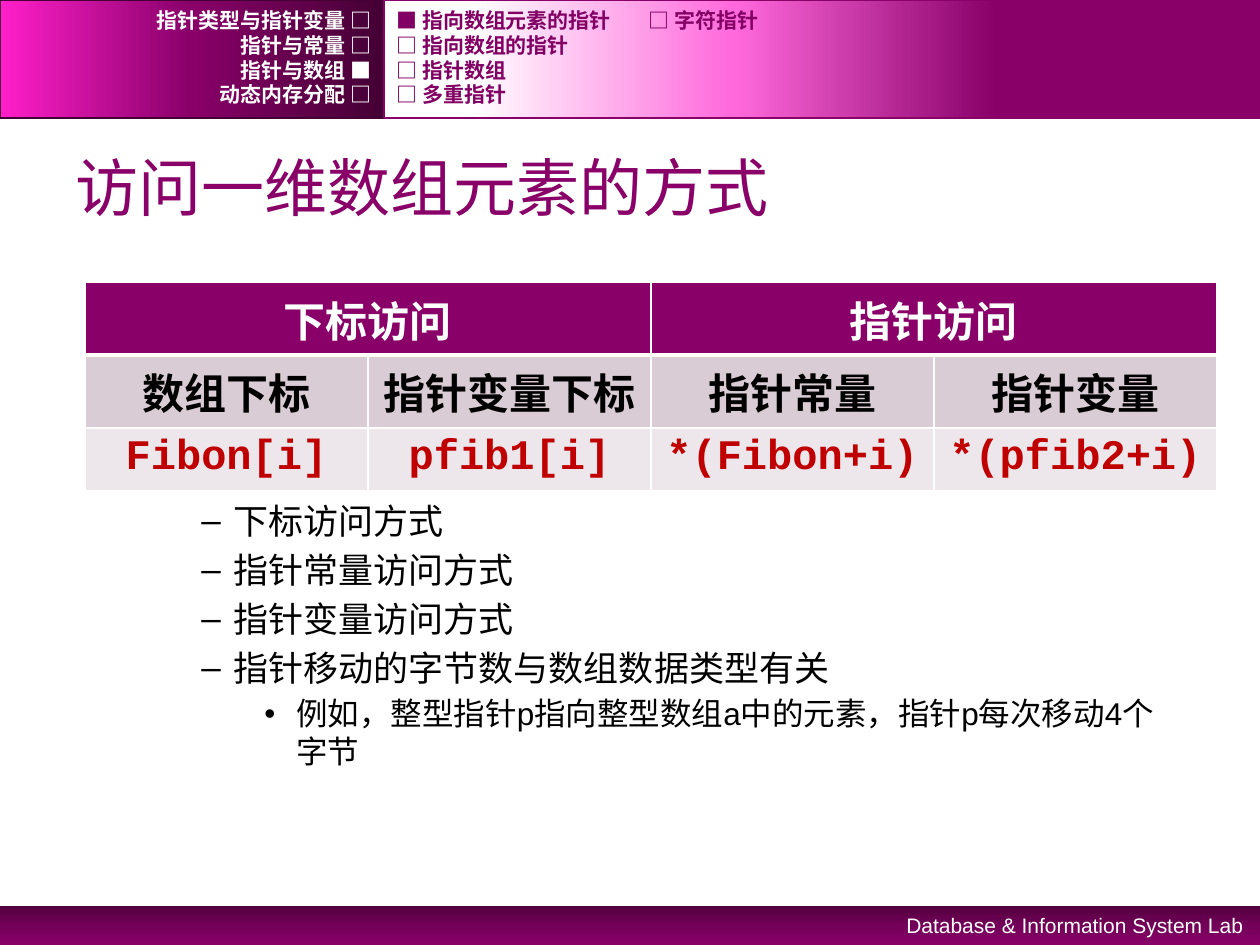
"""Build the slide on ways to access one-dimensional array elements."""
from lxml.etree import SubElement
from pptx import Presentation
from pptx.dml.color import RGBColor
from pptx.enum.shapes import MSO_SHAPE
from pptx.enum.text import MSO_ANCHOR, PP_ALIGN
from pptx.oxml import parse_xml
from pptx.oxml.ns import nsdecls, qn
from pptx.util import Emu, Pt

SCALE = 914400 // 126
PLUM = RGBColor(0x88, 0x00, 0x68)
DEEP_PLUM = RGBColor(0x44, 0x00, 0x34)
NAV_PLUM = RGBColor(0x82, 0x00, 0x64)
WHITE = RGBColor(0xFF, 0xFF, 0xFF)
BLACK = RGBColor(0x00, 0x00, 0x00)
RED = RGBColor(0xC0, 0x00, 0x00)
MAUVE = RGBColor(0xDA, 0xCC, 0xD4)
PALE_MAUVE = RGBColor(0xED, 0xE7, 0xEB)
CJK = "Noto Sans CJK SC"

BANDS = [
    ((0, 906, 1260, 39), 90, [(0, "51003E"), (50, "730058"), (100, "880068")], None),
    ((0, 0, 384, 118), 180, [(0, "440034"), (50, "880068"), (100, "FF1FCA")], DEEP_PLUM),
    ((384, 0, 876, 118), 180, [(30, "880068"), (60, "FF69DC"), (90, "FFFFFF")], PLUM),
]
SECTIONS = ["指针类型与指针变量 □", "指针与常量 □", "指针与数组 ■", "动态内存分配 □"]
TOPICS = ["■ 指向数组元素的指针\t□ 字符指针", "□ 指向数组的指针", "□ 指针数组", "□ 多重指针"]
NAVIGATION = [
    (SECTIONS, 0, 384, PP_ALIGN.RIGHT, WHITE),
    (TOPICS, 384, 759, PP_ALIGN.LEFT, NAV_PLUM),
]
TITLE = "访问一维数组元素的方式"
FOOTER = "Database & Information System Lab"
TABLE_ROWS = [
    (["下标访问", "", "指针访问", ""], 73, PLUM, WHITE, "Arial"),
    (["数组下标", "指针变量下标", "指针常量", "指针变量"], 73, MAUVE, BLACK, CJK),
    (["Fibon[i]", "pfib1[i]", "*(Fibon+i)", "*(pfib2+i)"], 60, PALE_MAUVE, RED, "Courier New"),
]
COLUMN_WIDTH = 283
DASH, DOT = ("–", 158, 20), ("•", 221, 18)
POINTS = [
    ("下标访问方式", DASH),
    ("指针常量访问方式", DASH),
    ("指针变量访问方式", DASH),
    ("指针移动的字节数与数组数据类型有关", DASH),
    ("例如，整型指针p指向整型数组a中的元素，指针p每次移动4个字节", DOT),
]


def px(length):
    return Emu(round(length * SCALE))


def write(para, text, size, color, font="Arial", east_asian=CJK, bold=False, align=PP_ALIGN.LEFT):
    para.alignment = align
    span = para.add_run()
    span.text = text
    span.font.size = Pt(size)
    span.font.bold = bold
    span.font.name = font
    span.font.color.rgb = color
    SubElement(span.font._element, qn("a:ea"), typeface=east_asian)


def add_box(page, place, anchor=MSO_ANCHOR.TOP):
    frame = page.shapes.add_textbox(*map(px, place)).text_frame
    frame.word_wrap = True
    frame.vertical_anchor = anchor
    return frame


def add_band(page, place, angle, stops, outline):
    band = page.shapes.add_shape(MSO_SHAPE.RECTANGLE, *map(px, place))
    band.shadow.inherit = False
    marks = "".join(
        f'<a:gs pos="{position * 1000}"><a:srgbClr val="{color}"/></a:gs>' for position, color in stops
    )
    gradient = parse_xml(
        f'<a:gradFill {nsdecls("a")} rotWithShape="1"><a:gsLst>{marks}</a:gsLst>'
        f'<a:lin ang="{angle * 60000}" scaled="0"/></a:gradFill>'
    )
    band._element.spPr.find(qn("a:prstGeom")).addnext(gradient)
    if outline is None:
        band.line.fill.background()
    else:
        band.line.color.rgb = outline
        band.line.width = Pt(1)


def set_borders(cell, bottom):
    properties = cell._tc.get_or_add_tcPr()
    for index, (side, width) in enumerate([("L", 1), ("R", 1), ("T", 1), ("B", bottom)]):
        border = parse_xml(
            f'<a:ln{side} {nsdecls("a")} w="{Pt(width)}"><a:solidFill>'
            f'<a:srgbClr val="{WHITE}"/></a:solidFill></a:ln{side}>'
        )
        properties.insert(index, border)


def add_access_table(page):
    height = sum(row[1] for row in TABLE_ROWS)
    table = page.shapes.add_table(3, 4, px(85), px(282), px(4 * COLUMN_WIDTH), px(height)).table
    for column in table.columns:
        column.width = px(COLUMN_WIDTH)
    for left in (0, 2):
        table.cell(0, left).merge(table.cell(0, left + 1))
    for row, (texts, row_height, fill, color, font) in enumerate(TABLE_ROWS):
        table.rows[row].height = px(row_height)
        for column, text in enumerate(texts):
            cell = table.cell(row, column)
            cell.fill.solid()
            cell.fill.fore_color.rgb = fill
            set_borders(cell, 3 if row == 0 else 1)
            if text:
                write(cell.text_frame.paragraphs[0], text, 24, color, font,
                      bold=True, align=PP_ALIGN.CENTER)


def add_points(page):
    frame = add_box(page, (63, 493, 1134, 393))
    for index, (text, (bullet, indent, size)) in enumerate(POINTS):
        para = frame.add_paragraph() if index else frame.paragraphs[0]
        para.space_before = Pt(size * 0.2)
        write(para, text, size, BLACK, east_asian="Arial")
        properties = para._p.get_or_add_pPr()
        properties.set("marL", str(px(indent)))
        properties.set("indent", str(px(-32)))
        SubElement(properties, qn("a:buFont"), typeface="Arial")
        SubElement(properties, qn("a:buChar"), char=bullet)


deck = Presentation()
deck.slide_width, deck.slide_height = px(1260), px(945)
page = deck.slides.add_slide(deck.slide_layouts[6])
for band in BANDS:
    add_band(page, *band)
footer = add_box(page, (809, 906, 447, 38))
write(footer.paragraphs[0], FOOTER, 12, WHITE, align=PP_ALIGN.RIGHT)
title = add_box(page, (63, 137, 1134, 98), MSO_ANCHOR.MIDDLE)
write(title.paragraphs[0], TITLE, 36, PLUM, east_asian="Arial")
add_points(page)
add_access_table(page)
for labels, left, width, align, color in NAVIGATION:
    for index, label in enumerate(labels):
        entry = add_box(page, (left, 8 + 24.6 * index, width, 25), MSO_ANCHOR.MIDDLE)
        write(entry.paragraphs[0], label, 12, color, "Courier New", bold=True, align=align)
deck.save("out.pptx")
